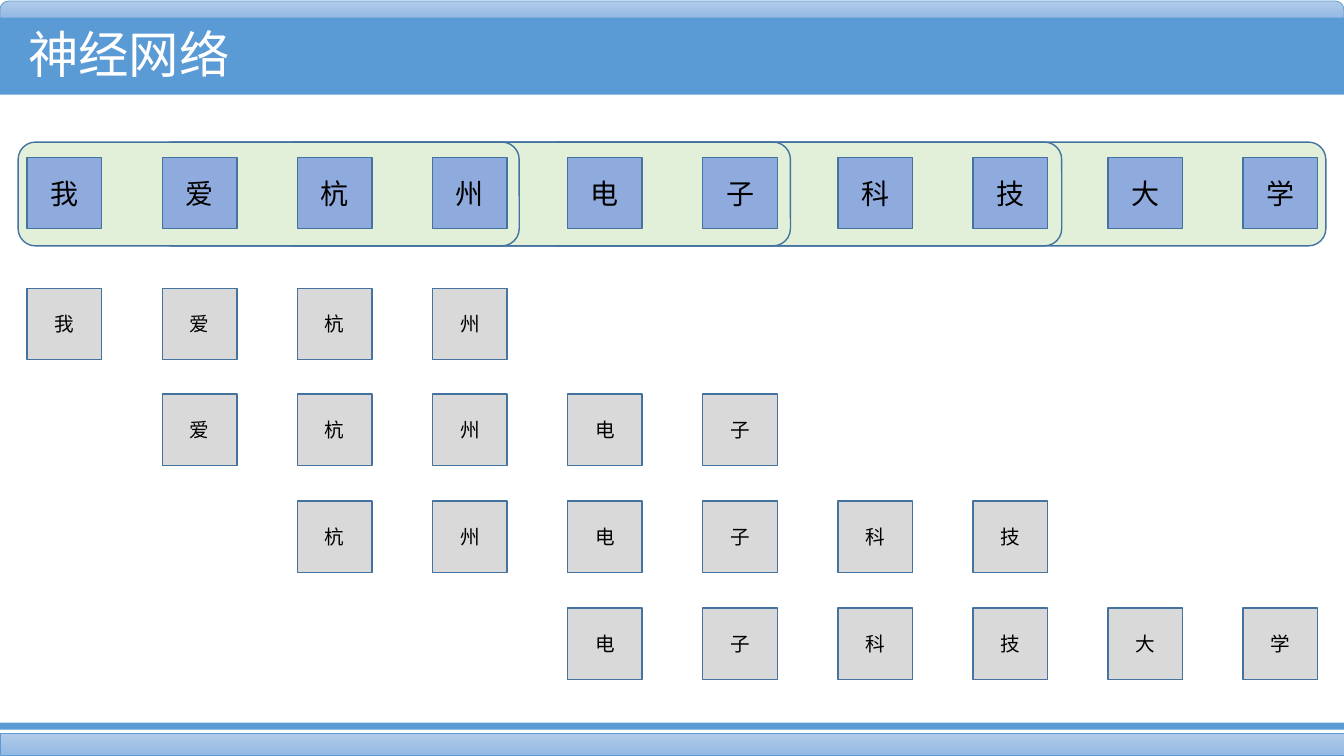
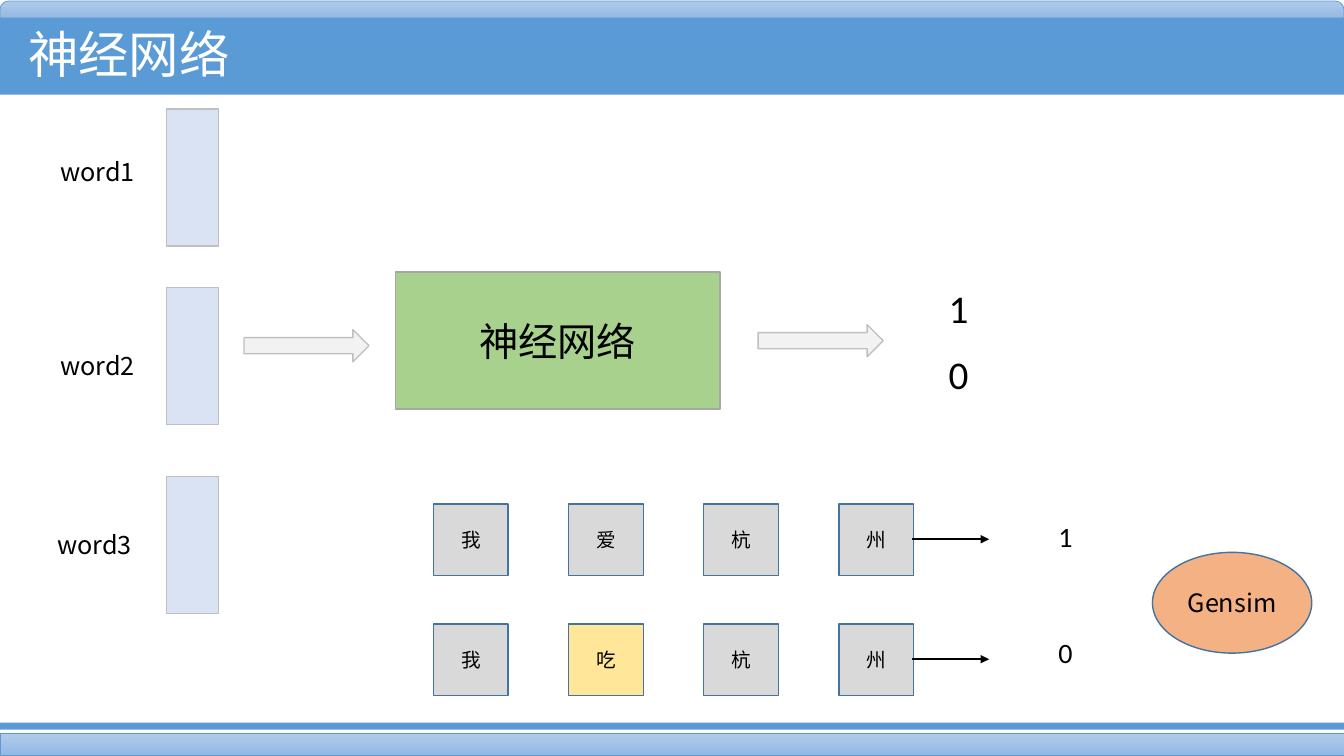
import pptx
import pptx.dml.color
import pptx.enum.shapes
import pptx.enum.text
import pptx.oxml.ns
import pptx.util
from lxml import etree

PX = 9144  # EMU in one px, 100 px to the inch
SHAPE = pptx.enum.shapes.MSO_SHAPE
TEXT = pptx.enum.text
qn = pptx.oxml.ns.qn

CJK, LATIN = "Noto Sans CJK SC", "Calibri"
BLUE, EDGE, SILVER = "5B9BD5", "43739E", "BFBFBF"
TILE_BLUE, TILE_GRAY, TILE_YELLOW = "8FAADC", "D9D9D9", "FFE699"
TILE_WIDTH, TILE_HEIGHT, TILE_PITCH = 74, 71, 134

CENTRED = {"word_wrap": True, "vertical_anchor": TEXT.MSO_ANCHOR.MIDDLE}
FREE = {"word_wrap": False, "auto_size": TEXT.MSO_AUTO_SIZE.SHAPE_TO_FIT_TEXT}


def paint(fill, colour):
    """Fill with a hex colour, or with nothing when there is none."""
    if colour is None:
        fill.background()
    else:
        fill.solid()
        fill.fore_color.rgb = pptx.dml.color.RGBColor.from_string(colour)


def add_part(slide, kind, box, fill=None, edge=None, text="", size=14,
             font=CJK, colour="000000", weight=1):
    """Add a shape with centred text, or a plain text box when kind is None."""
    left, top, width, height = (n * PX for n in box)
    if kind is None:
        part = slide.shapes.add_textbox(left, top, width, height)
    else:
        part = slide.shapes.add_shape(kind, left, top, width, height)
        part.shadow.inherit = False
        paint(part.fill, fill)
        paint(part.line.fill, edge)
        if edge:
            part.line.width = pptx.util.Pt(weight)
    if text:
        frame = part.text_frame
        for name, value in (FREE if kind is None else CENTRED).items():
            setattr(frame, name, value)
        paragraph = frame.paragraphs[0]
        paragraph.alignment = TEXT.PP_ALIGN.LEFT if kind is None else TEXT.PP_ALIGN.CENTER
        run = paragraph.add_run()
        run.text = text
        paint(run.font.fill, colour)
        for name, value in {"size": pptx.util.Pt(size), "name": font}.items():
            setattr(run.font, name, value)
        east_asian = etree.SubElement(run.font._element, qn("a:ea"))
        east_asian.set("typeface", font)
    return part


deck = pptx.Presentation()
deck.slide_width, deck.slide_height = 1333 * PX, 750 * PX
blank = deck.slide_layouts[6]
windows_slide, network_slide = [deck.slides.add_slide(blank) for _ in range(2)]

# Bands and title on both slides
for slide in (windows_slide, network_slide):
    for kind, top, height in ((SHAPE.ROUND_2_SAME_RECTANGLE, 1, 17),
                              (SHAPE.RECTANGLE, 728, 21)):
        band = add_part(slide, kind, (0, top, 1333, height), BLUE, BLUE, weight=0.5)
        band.fill.gradient()
        band.fill.gradient_angle = 270
        for stop, shade in zip(band.fill.gradient_stops, ("B1CBE9", "93B9E4")):
            stop.color.rgb = pptx.dml.color.RGBColor.from_string(shade)
        if kind == SHAPE.ROUND_2_SAME_RECTANGLE:
            band.adjustments[0] = 0.5
    for top, height in ((18, 76), (717, 7)):
        add_part(slide, SHAPE.RECTANGLE, (0, top, 1333, height), BLUE)
    add_part(slide, None, (18, 18, 222, 71), text="神经网络", size=36, colour="FFFFFF")

# Slide 1: windows sliding over a sentence
sentence = "我爱杭州电子科技大学"
for left, width in ((536, 779), (274, 779), (153, 631), (18, 497)):
    add_part(windows_slide, SHAPE.ROUNDED_RECTANGLE, (left, 141, width, 103),
             "E2F0D9", EDGE)

tile_rows = [(156, 0, 10, TILE_BLUE, 20)]
for row, (start, end) in enumerate(((0, 4), (1, 6), (2, 8), (4, 10))):
    tile_rows.append((286 + row * 317 // 3, start, end, TILE_GRAY, 14))
for top, start, end, fill, size in tile_rows:
    for column in range(start, end):
        box = (27 + column * TILE_PITCH, top, TILE_WIDTH, TILE_HEIGHT)
        add_part(windows_slide, SHAPE.RECTANGLE, box, fill, EDGE, sentence[column], size)

# Slide 2: word vectors through the network to a label
for top in (108, 285, 473):
    add_part(network_slide, SHAPE.RECTANGLE, (165, top, 52, 136), "DAE3F3", SILVER)
for word, left, top in (("word1", 50, 150), ("word2", 50, 343), ("word3", 47, 520)):
    add_part(network_slide, None, (left, top, 96, 40), text=word, size=18)
add_part(network_slide, SHAPE.RECTANGLE, (392, 270, 322, 136), "A9D18E", "A6A6A6",
         "神经网络", 28)
for left, top in ((242, 327), (752, 322)):
    add_part(network_slide, SHAPE.RIGHT_ARROW, (left, top, 124, 32), "F2F2F2", SILVER)
for answer, top in (("1", 277), ("0", 343)):
    add_part(network_slide, None, (931, top, 40, 57), text=answer, size=28, font=LATIN)

# Slide 2: a true and a false sample
for sample, top, answer, answer_top in (("我爱杭州", 500, "1", 510),
                                        ("我吃杭州", 619, "0", 626)):
    for column, character in enumerate(sample):
        box = (430 + column * TILE_PITCH, top, TILE_WIDTH, TILE_HEIGHT)
        fill = TILE_YELLOW if character == "吃" else TILE_GRAY
        add_part(network_slide, SHAPE.RECTANGLE, box, fill, EDGE, character)
    middle = (top + 35) * PX
    arrow = network_slide.shapes.add_connector(
        pptx.enum.shapes.MSO_CONNECTOR.STRAIGHT, 905 * PX, middle, 981 * PX, middle)
    paint(arrow.line.fill, "000000")
    arrow.line.width = pptx.util.Pt(1.5)
    etree.SubElement(arrow.line._get_or_add_ln(), qn("a:tailEnd")).set("type", "triangle")
    etree.SubElement(arrow._element.spPr, qn("a:effectLst"))
    add_part(network_slide, None, (1040, answer_top, 34, 44), text=answer, size=20,
             font=LATIN)

add_part(network_slide, SHAPE.OVAL, (1143, 548, 158, 100), "F4B183", EDGE, "Gensim", 18)

deck.save("out.pptx")
